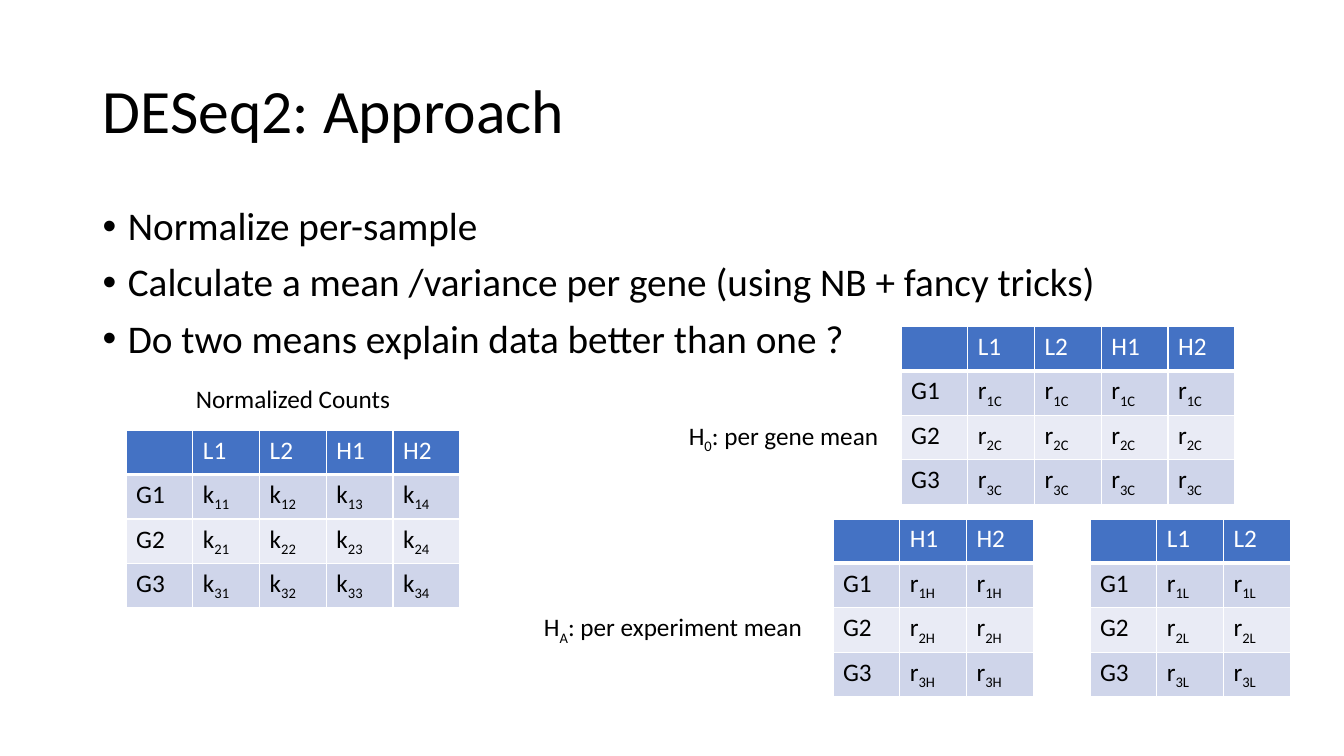
"""Build the DESeq2 approach slide: bullets, four gene tables and their labels."""
from typing import NamedTuple

from lxml import etree
from pptx import Presentation
from pptx import util as u
from pptx.dml.color import RGBColor
from pptx.enum import text
from pptx.oxml import ns

COL, ROW = 3.31 / 5, 0.44
FONT = "Calibri"
BLACK, WHITE, HEADER = "000000", "FFFFFF", "4472C4"
BANDS = ("CFD5EA", "E9EBF5")
GENES = (1, 2, 3)


class Box(NamedTuple):
    left: float
    top: float
    cols: float
    rows: float


class GeneTable(NamedTuple):
    left: float
    top: float
    samples: tuple[str, ...]
    pattern: str


class Label(NamedTuple):
    box: Box
    words: str
    align: text.PP_ALIGN


TITLE = Box(1.39, 0.91, 17.37, 3.3)
BODY = Box(1.39, 4.55, 17.37, 10.82)
BULLETS = (
    "Normalize per-sample",
    "Calculate a mean /variance per gene (using NB + fancy tricks)",
    "Do two means explain data better than one ?",
)
LOW, HIGH = ("L1", "L2"), ("H1", "H2")
TABLES = (
    GeneTable(1.89, 9.7, LOW + HIGH, "k_{gene}{sample}"),
    GeneTable(16.33, 11.7, LOW, "r_{gene}L"),
    GeneTable(12.48, 11.7, HIGH, "r_{gene}H"),
    GeneTable(13.5, 7.36, LOW + HIGH, "r_{gene}C"),
)
LABELS = (
    Label(Box(10.17, 9.36, 3.55, 0.91), "H_0_: per gene mean", text.PP_ALIGN.LEFT),
    Label(Box(8, 13.68, 4.73, 0.91), "H_A_: per experiment mean", text.PP_ALIGN.LEFT),
    Label(Box(1.89, 8.52, 5, 0.91), "Normalized Counts", text.PP_ALIGN.CENTER),
)


def color(value: str) -> RGBColor:
    return RGBColor.from_string(value)


def emu(box: Box) -> tuple[int, ...]:
    return tuple(u.Inches(n * unit) for n, unit in zip(box, (COL, ROW, COL, ROW)))


def write(p, words: str, size: float, ink: str = BLACK) -> None:
    for i, part in enumerate(words.split("_")):
        r = p.add_run()
        r.text = part
        r.font.name, r.font.size, r.font.bold = FONT, u.Pt(size), False
        r.font.color.rgb = color(ink)
        if i % 2:
            r.font._element.set("baseline", "-25000")


def add_text(s, box: Box):
    tf = s.shapes.add_textbox(*emu(box)).text_frame
    tf.word_wrap = True
    return tf


def add_title(s, words: str) -> None:
    sp = s.shapes.title
    sp.left, sp.top, sp.width, sp.height = emu(TITLE)
    sp.text_frame.vertical_anchor = text.MSO_ANCHOR.MIDDLE
    p = sp.text_frame.paragraphs[0]
    p.alignment, p.line_spacing = text.PP_ALIGN.LEFT, 0.9
    write(p, words, 44)


def add_bullets(s) -> None:
    tf = add_text(s, BODY)
    for i, words in enumerate(BULLETS):
        p = tf.add_paragraph() if i else tf.paragraphs[0]
        p.line_spacing, p.space_before = 0.9, u.Pt(10)
        pPr = p._p.get_or_add_pPr()
        pPr.set("marL", str(u.Inches(0.25)))
        pPr.set("indent", str(u.Inches(-0.25)))
        etree.SubElement(pPr, ns.qn("a:buFont"), typeface="Arial")
        etree.SubElement(pPr, ns.qn("a:buChar"), char="•")
        write(p, words, 28)


def add_borders(cell, bottom: float) -> None:
    tcPr = cell._tc.get_or_add_tcPr()
    for i, (side, width) in enumerate((("L", 1), ("R", 1), ("T", 1), ("B", bottom))):
        ln = etree.Element(ns.qn(f"a:ln{side}"), w=str(u.Pt(width)))
        fill = etree.SubElement(ln, ns.qn("a:solidFill"))
        etree.SubElement(fill, ns.qn("a:srgbClr"), val=WHITE)
        tcPr.insert(i, ln)


def add_table(s, spec: GeneTable) -> None:
    grid = [("", *spec.samples)] + [
        (f"G{g}", *(spec.pattern.format(gene=g, sample=n)
                    for n, _ in enumerate(spec.samples, 1)))
        for g in GENES
    ]
    rows, cols = len(grid), len(grid[0])
    box = Box(spec.left, spec.top, cols, rows)
    table = s.shapes.add_table(rows, cols, *emu(box)).table
    for y, line in enumerate(grid):
        for x, words in enumerate(line):
            cell = table.cell(y, x)
            cell.fill.solid()
            cell.fill.fore_color.rgb = color(BANDS[(y - 1) % 2] if y else HEADER)
            add_borders(cell, 1 if y else 3)
            write(cell.text_frame.paragraphs[0], words, 18, BLACK if y else WHITE)


def add_label(s, label: Label) -> None:
    p = add_text(s, label.box).paragraphs[0]
    p.alignment = label.align
    write(p, label.words, 18)


def main() -> None:
    prs = Presentation()
    prs.slide_width, prs.slide_height = u.Inches(13.33), u.Inches(7.5)
    s = prs.slides.add_slide(prs.slide_layouts[5])
    add_title(s, "DESeq2: Approach")
    add_bullets(s)
    for table in TABLES:
        add_table(s, table)
    for label in LABELS:
        add_label(s, label)
    prs.save("out.pptx")


main()
